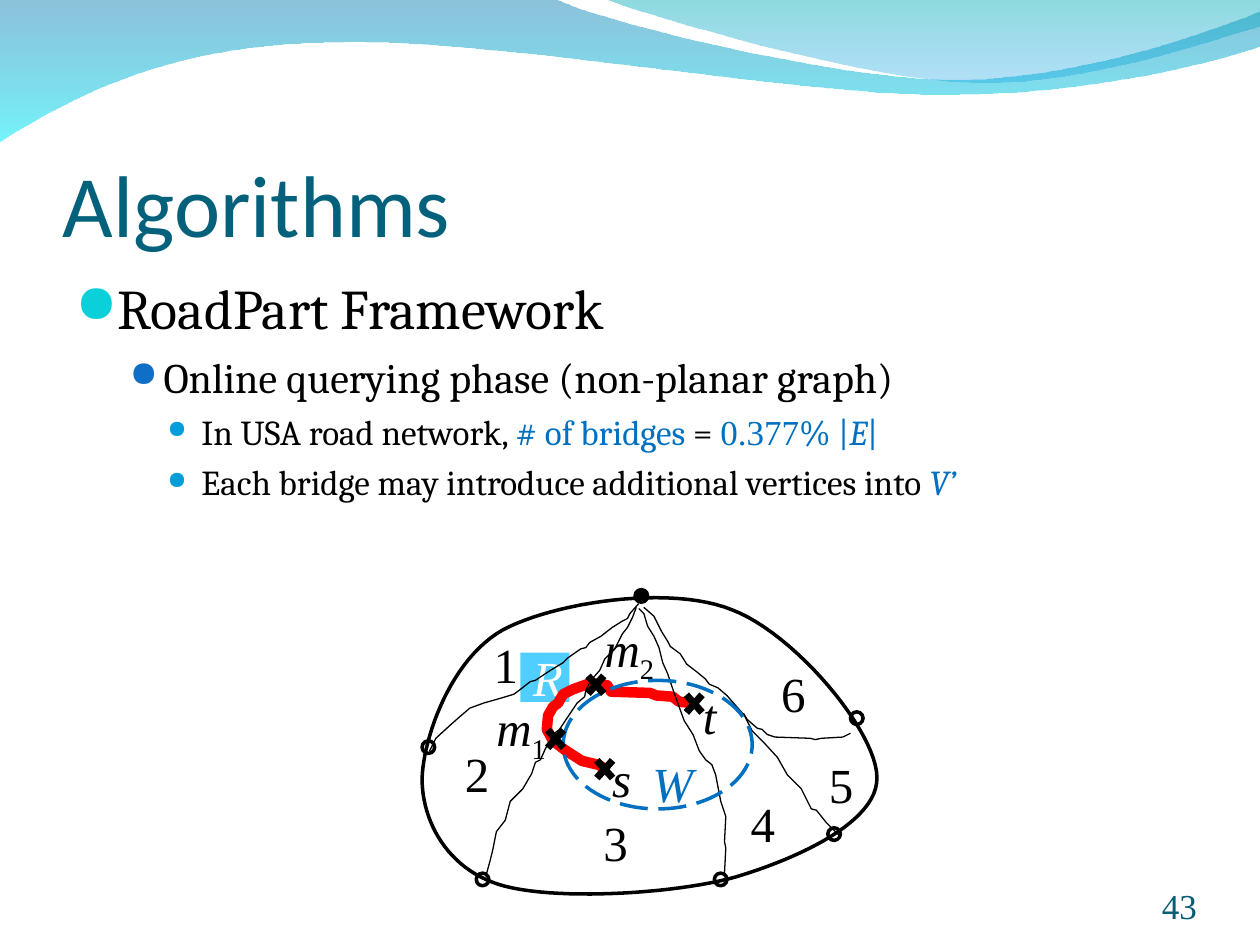
from lxml import etree
from pptx import Presentation
from pptx.dml.color import RGBColor
from pptx.enum.dml import MSO_LINE
from pptx.enum.shapes import MSO_SHAPE
from pptx.enum.text import MSO_ANCHOR, MSO_AUTO_SIZE, PP_ALIGN
from pptx.oxml.ns import qn
from pptx.util import Inches, Pt

OVAL, RECT, CROSS = MSO_SHAPE.OVAL, MSO_SHAPE.RECTANGLE, MSO_SHAPE.MATH_MULTIPLY
TOP, MIDDLE, BOTTOM = MSO_ANCHOR.TOP, MSO_ANCHOR.MIDDLE, MSO_ANCHOR.BOTTOM
LEFT, CENTER, RIGHT = PP_ALIGN.LEFT, PP_ALIGN.CENTER, PP_ALIGN.RIGHT
LONG_DASH = MSO_LINE.LONG_DASH
FIT = MSO_AUTO_SIZE.SHAPE_TO_FIT_TEXT
HEAD, BODY, MATH = "Calibri", "Cambria", "Times New Roman"

COLORS = {
    "black": "000000", "white": "FFFFFF", "title": "04617B", "number": "045C75",
    "accent": "0070C0", "route": "FF0000", "region": "4FCEFF",
    "bullet0": "0BD0D9", "bullet1": "0F6FC6", "bullet2": "009DD9",
    "wave_top": "0079AF", "wave_bottom": "00EBF8",
    "crest_top": "00ADB6", "crest_bottom": "009BE5",
}

# Waves and the boundary are Bezier chains: a start, then three points per curve.
WAVE_LOWER = [(4.4, -0.01), (4.76, 0.17), (6.64, 0.63), (7.58, 0.63),
              (8.53, 0.63), (9.58, 0.26), (10, 0.09)]
WAVE_UPPER = [(10.01, 0.36), (9.83, 0.44), (8.7, 0.76), (7.46, 0.75),
              (6.22, 0.75), (3.82, 0.28), (2.57, 0.34),
              (1.29, 0.35), (0.46, 0.83), (-0.01, 1.13)]
CREST = [(4.79, -0.01), (5.09, 0.11), (6.82, 0.62), (7.69, 0.65),
         (8.56, 0.69), (9.61, 0.32), (10, 0.21)]
BOUNDARY = [(3.35, 6.18), (3.36, 5.85), (3.58, 5.23), (3.99, 5),
            (4.4, 4.78), (5.32, 4.64), (5.81, 4.84),
            (6.31, 5.03), (6.96, 5.81), (6.96, 6.17),
            (6.97, 6.52), (6.34, 6.81), (5.84, 6.96),
            (5.34, 7.1), (4.37, 7.15), (3.96, 7.02),
            (3.55, 6.89), (3.35, 6.52), (3.35, 6.18)]
ROUTE = [(4.83, 6.12), (4.75, 6.07), (4.62, 6.04), (4.48, 5.95), (4.39, 5.88),
         (4.34, 5.79), (4.35, 5.68), (4.39, 5.61), (4.43, 5.58), (4.47, 5.51),
         (4.55, 5.47), (4.69, 5.42), (4.82, 5.44), (4.85, 5.49), (5.16, 5.5),
         (5.21, 5.52), (5.34, 5.53), (5.39, 5.57), (5.5, 5.58)]
ROADS = [
    [(5.11, 4.82), (5.19, 4.89), (5.25, 5.01), (5.3, 5.09), (5.32, 5.13),
     (5.4, 5.19), (5.45, 5.27), (5.54, 5.34), (5.6, 5.39), (5.63, 5.43),
     (5.7, 5.46), (5.77, 5.52), (5.84, 5.6), (5.91, 5.68), (5.97, 5.8),
     (6.06, 5.89), (6.17, 6.01), (6.25, 6.15), (6.36, 6.26), (6.44, 6.42),
     (6.48, 6.43), (6.56, 6.53), (6.67, 6.64)],
    [(5.9, 5.66), (5.93, 5.71), (6.01, 5.78), (6.05, 5.79), (6.09, 5.83),
     (6.15, 5.85), (6.43, 5.86), (6.47, 5.87), (6.52, 5.86), (6.69, 5.85),
     (6.75, 5.82)],
    [(5.07, 4.83), (5.11, 4.87), (5.14, 4.97), (5.19, 5.05), (5.23, 5.14),
     (5.26, 5.26), (5.3, 5.35), (5.34, 5.47), (5.39, 5.61), (5.43, 5.72),
     (5.5, 5.83), (5.55, 5.96), (5.6, 6.03), (5.65, 6.07), (5.68, 6.15),
     (5.72, 6.36), (5.76, 6.48), (5.75, 6.68), (5.76, 6.73), (5.75, 6.93)],
    [(5.05, 4.82), (5.02, 4.9), (4.98, 4.98), (4.94, 5.03), (4.9, 5.11),
     (4.88, 5.15), (4.8, 5.23), (4.76, 5.32), (4.69, 5.4), (4.65, 5.48),
     (4.64, 5.53), (4.58, 5.58), (4.44, 5.79), (4.4, 5.82), (4.33, 5.94),
     (4.29, 6.03), (4.25, 6.05), (4.22, 6.14), (4.15, 6.26), (4.05, 6.36),
     (4.01, 6.51), (3.94, 6.6), (3.91, 6.75), (3.89, 6.83), (3.86, 6.94)],
    [(5.07, 4.79), (5, 4.87), (4.98, 4.91), (4.94, 4.93), (4.86, 4.98),
     (4.77, 5.05), (4.68, 5.1), (4.65, 5.14), (4.61, 5.15), (4.51, 5.22),
     (4.47, 5.26), (4.37, 5.32), (4.25, 5.4), (4.21, 5.41), (4.12, 5.48),
     (4.08, 5.51), (3.98, 5.54), (3.84, 5.58), (3.73, 5.62), (3.66, 5.68),
     (3.58, 5.75), (3.46, 5.86), (3.44, 5.9), (3.41, 5.96)],
]
NODES = [(3.35, 5.88), (6.75, 5.65), (6.57, 6.57), (3.78, 6.93), (5.67, 6.93)]
CROSSES = [(4.68, 5.97), (5.39, 5.45), (4.61, 5.3), (4.29, 5.73)]
REGIONS = [(3.82, 4.99), (3.59, 5.85), (4.69, 6.4), (5.86, 6.25), (6.48, 5.94), (6.1, 5.22)]

# Per outline level: size, left margin, hanging indent, space before, bullet percent.
LEVELS = [(32, 0.3, 0.3, 8, 95), (24, 0.7, 0.27, 6, 85), (20, 1, 0.27, 5, 70)]
OUTLINE = [
    (0, [("RoadPart Framework", {})]),
    (1, [("Online querying phase (non-planar graph)", {})]),
    (2, [("In USA road network, ", {}), ("# of bridges ", {"color": "accent"}),
         ("= ", {}), ("0.377", {"color": "accent", "name": MATH}),
         ("% |", {"color": "accent"}), ("E", {"color": "accent", "italic": True}),
         ("|", {"color": "accent"})]),
    (2, [("Each bridge may introduce additional vertices into ", {}),
         ("V’", {"color": "accent", "italic": True})]),
]


def rgb(color):
    return RGBColor.from_string(COLORS[color])


def bezier(chain, steps=24):
    """Return points along a chain of cubic curves."""
    points = [chain[0]]
    for i in range(0, len(chain) - 1, 3):
        for step in range(1, steps + 1):
            t = step / steps
            weights = ((1 - t) ** 3, 3 * t * (1 - t) ** 2, 3 * t * t * (1 - t), t ** 3)
            points.append(tuple(sum(w * p[axis] for w, p in zip(weights, chain[i:i + 4]))
                                for axis in (0, 1)))
    return points


def paint(shape, fill=None, line=None, width=2):
    shape.shadow.inherit = False
    if fill:
        shape.fill.solid()
        shape.fill.fore_color.rgb = rgb(fill)
    else:
        shape.fill.background()
    if line:
        shape.line.color.rgb = rgb(line)
        shape.line.width = Pt(width)
    else:
        shape.line.fill.background()
    return shape


def add_outline(page, points, closed=False, **style):
    corners = [(Inches(x), Inches(y)) for x, y in points]
    builder = page.shapes.build_freeform(*corners[0], scale=1.0)
    builder.add_line_segments(corners[1:], close=closed)
    return paint(builder.convert_to_shape(), **style)


def add_wave(page, points, stops):
    """Draw a closed shape with a translucent top-to-bottom gradient."""
    wave = add_outline(page, points, closed=True)
    wave.fill.gradient()
    wave.fill.gradient_angle = 270
    for stop, (color, _) in zip(wave.fill.gradient_stops, stops):
        stop.color.rgb = rgb(color)
    for node, (_, opacity) in zip(wave._element.iter(qn("a:srgbClr")), stops):
        etree.SubElement(node, qn("a:alpha"), val=str(opacity * 1000))


def add_preset(page, kind, left, top, width, height, **style):
    shape = page.shapes.add_shape(kind, *map(Inches, (left, top, width, height)))
    return paint(shape, **style)


def set_font(font, size, name, color, italic=False):
    font.size, font.name, font.italic = Pt(size), name, italic
    font.color.rgb = rgb(color)


def set_frame(frame, anchor, insets):
    frame.vertical_anchor = anchor
    (frame.margin_left, frame.margin_top,
     frame.margin_right, frame.margin_bottom) = map(Inches, insets)


def add_text(page, text, place, size, name, color, italic=False, align=LEFT,
             anchor=BOTTOM, insets=(0, 0, 0, 0)):
    box = page.shapes.add_textbox(*map(Inches, place))
    frame = box.text_frame
    frame.word_wrap = True
    set_frame(frame, anchor, insets)
    para = frame.paragraphs[0]
    para.text, para.alignment = text, align
    set_font(para.font, size, name, color, italic)
    return frame


def add_label(page, text, left, top, width=0.39, height=0.57, color="black",
              italic=False, subscript=None):
    frame = add_text(page, text, (left, top, width, height), 28, MATH, color, italic,
                     anchor=TOP, insets=(0.1, 0.05, 0.1, 0.05))
    frame.word_wrap, frame.auto_size = False, FIT
    if subscript:
        span = frame.paragraphs[0].add_run()
        span.text, span.font.italic = subscript, False
        span.font._element.set("baseline", "-25000")


def add_bullets(page):
    frame = page.shapes.add_textbox(*map(Inches, (0.5, 2.12, 8.63, 5.1))).text_frame
    frame.word_wrap = True
    for i, (level, spans) in enumerate(OUTLINE):
        para = frame.add_paragraph() if i else frame.paragraphs[0]
        size, margin, hanging, before, percent = LEVELS[level]
        para.level, para.space_before = level, Pt(before)
        props = para._p.get_or_add_pPr()
        props.set("marL", str(Inches(margin)))
        props.set("indent", str(-Inches(hanging)))
        tint = etree.SubElement(props, qn("a:buClr"))
        etree.SubElement(tint, qn("a:srgbClr"), val=COLORS[f"bullet{level}"])
        etree.SubElement(props, qn("a:buSzPct"), val=str(percent * 1000))
        etree.SubElement(props, qn("a:buChar"), char="●")
        set_font(para.font, size, BODY, "black")
        for text, style in spans:
            span = para.add_run()
            span.text = text
            if "color" in style:
                span.font.color.rgb = rgb(style["color"])
            span.font.name = style.get("name")
            span.font.italic = style.get("italic")


def add_road_map(page):
    region = add_preset(page, RECT, 4.13, 5.18, 0.39, 0.39, fill="region")
    set_frame(region.text_frame, MIDDLE, (0.1, 0.05, 0.1, 0.05))
    para = region.text_frame.paragraphs[0]
    para.text, para.alignment = "R", CENTER
    set_font(para.font, 28, MATH, "white", True)

    add_outline(page, ROUTE, line="route", width=6)
    add_outline(page, bezier(BOUNDARY)[:-1], closed=True, line="black")
    add_preset(page, OVAL, 5.04, 4.68, 0.1, 0.1, fill="black", line="black")
    for left, top in NODES:
        add_preset(page, OVAL, left, top, 0.1, 0.1, line="black")
    for road in ROADS:
        add_outline(page, road, line="black", width=0.75)
    for number, (left, top) in enumerate(REGIONS, 1):
        add_label(page, str(number), left, top)
    window = add_preset(page, OVAL, 4.47, 5.4, 1.5, 1.02, line="accent")
    window.line.dash_style = LONG_DASH
    add_label(page, "W", 5.08, 5.93, 0.52, color="accent", italic=True)
    for left, top in CROSSES:
        add_preset(page, CROSS, left, top, 0.24, 0.27, fill="black")
    add_label(page, "t", 5.48, 5.39, 0.31, italic=True)
    add_label(page, "s", 4.76, 5.89, 0.35, italic=True)
    for subscript, left, top in (("1", 3.84, 5.49), ("2", 4.7, 4.86)):
        add_label(page, "m", left, top, 0.59, 0.63, italic=True, subscript=subscript)


def main():
    deck = Presentation()
    deck.slide_width, deck.slide_height = Inches(10), Inches(7.5)
    page = deck.slides.add_slide(deck.slide_layouts[6])
    add_wave(page, [(0, -0.01)] + bezier(WAVE_LOWER) + bezier(WAVE_UPPER),
             [("wave_top", 45), ("wave_bottom", 55)])
    add_wave(page, bezier(CREST) + [(10, 0)], [("crest_top", 45), ("crest_bottom", 30)])
    add_text(page, "Algorithms", (0.5, 0.77, 9, 1.25), 50, HEAD, "title",
             insets=(0, 0.05, 0, 0))
    add_bullets(page)
    add_text(page, "43", (8.67, 6.95, 0.83, 0.4), 20, MATH, "number", align=RIGHT)
    add_road_map(page)
    deck.save("out.pptx")


if __name__ == "__main__":
    main()
